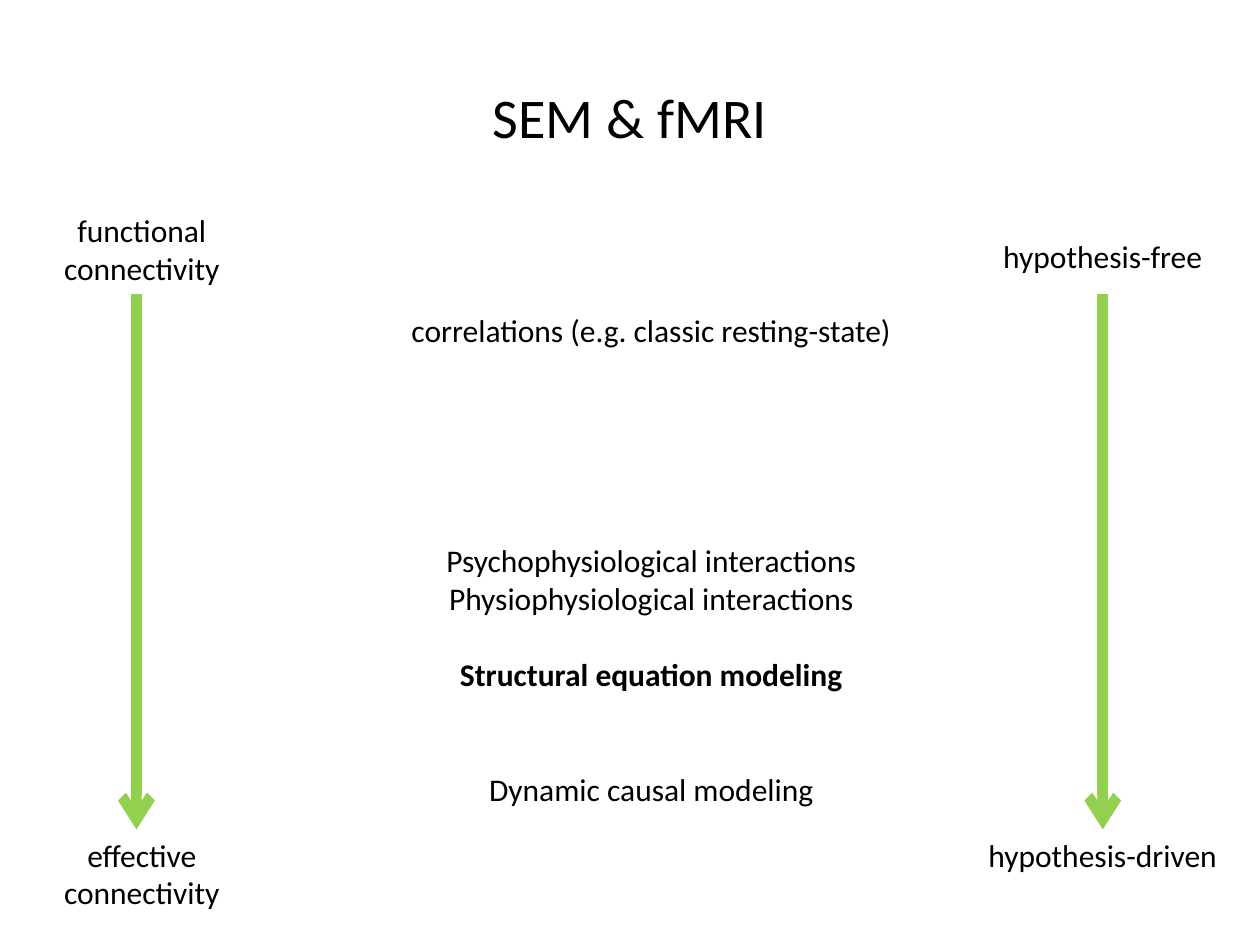
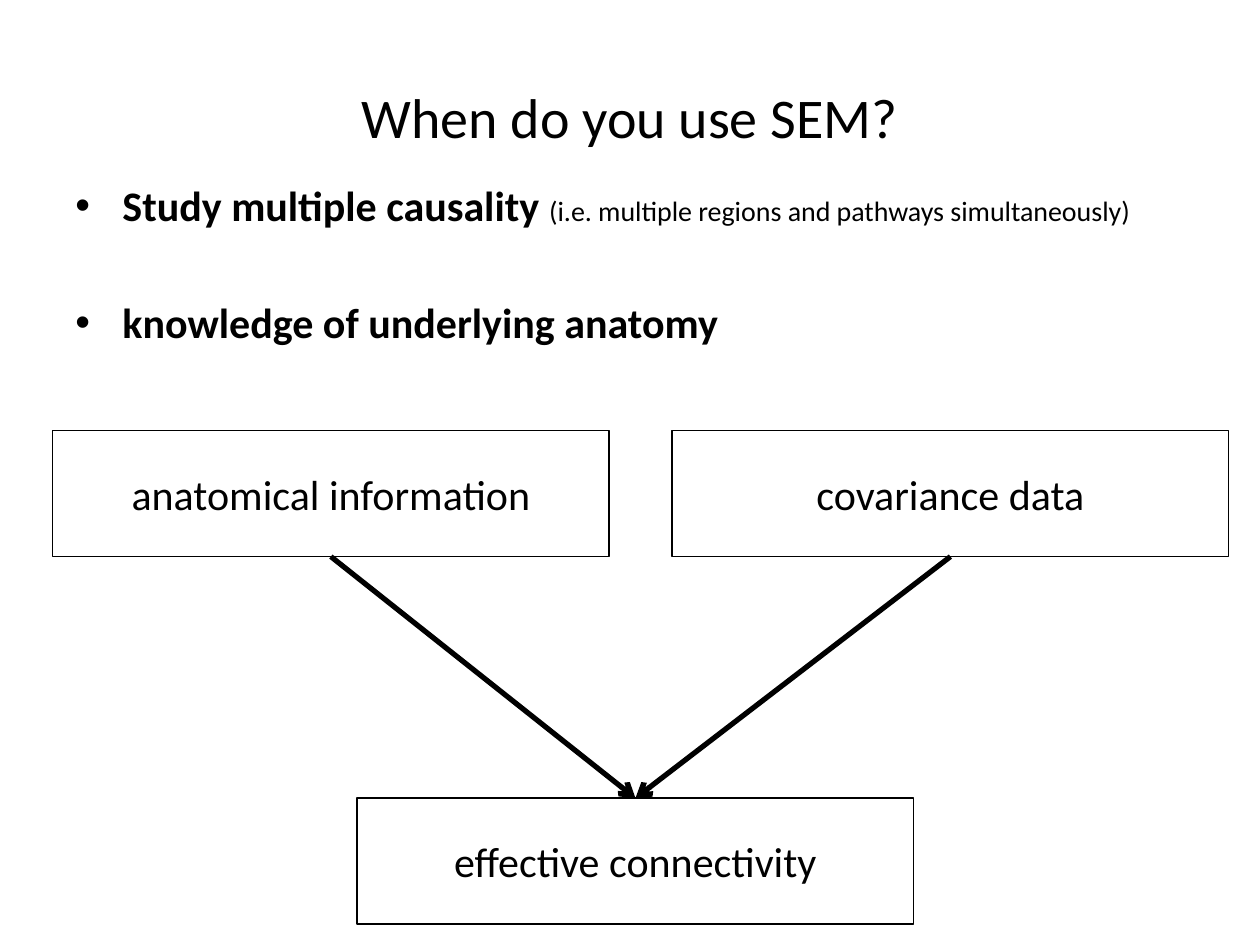
from lxml.etree import SubElement
from pptx import Presentation
from pptx.dml.color import RGBColor
from pptx.enum.shapes import MSO_CONNECTOR, MSO_SHAPE
from pptx.enum.text import MSO_ANCHOR, PP_ALIGN
from pptx.oxml.ns import qn
from pptx.util import Cm, Pt

BLACK = "000000"
GREEN = "92D050"
FONT = "Calibri"
BOTTOM, TOP = 2, 0  # connection sites of a rectangle


def color(hex_string):
    return RGBColor.from_string(hex_string)


class Pages:
    """Holds the deck, its style and the current page."""

    def __init__(self):
        self.deck = Presentation()
        self.deck.slide_width, self.deck.slide_height = Cm(25.4), Cm(19.05)
        self.page = None

    def new_page(self, title):
        self.page = self.deck.slides.add_slide(self.deck.slide_layouts[6])
        box = self.text_box(1.27, 0.76, 22.86, 3.18, MSO_ANCHOR.MIDDLE)
        self.paragraph(box, [(title, 32, False)])

    def text_box(self, left, top, width, height, anchor=MSO_ANCHOR.TOP):
        box = self.page.shapes.add_textbox(Cm(left), Cm(top), Cm(width), Cm(height))
        box.text_frame.word_wrap = True
        box.text_frame.vertical_anchor = anchor
        return box

    def paragraph(self, box, spans, before=0, bullet=False):
        """Add one paragraph; spans are (text, size, bold)."""
        frame = box.text_frame
        para = frame.paragraphs[0]
        if para.runs:
            para = frame.add_paragraph()
        para.alignment = PP_ALIGN.LEFT if bullet else PP_ALIGN.CENTER
        if before:
            para.space_before = Pt(before)
        if bullet:
            properties = para._p.get_or_add_pPr()
            properties.set("marL", str(Cm(0.95)))
            properties.set("indent", str(-Cm(0.95)))
            SubElement(properties, qn("a:buFont"), typeface="Arial")
            SubElement(properties, qn("a:buChar"), char="•")
        for text, size, bold in spans:
            span = para.add_run()
            span.text = text
            span.font.name = FONT
            span.font.size = Pt(size)
            span.font.bold = bold
            span.font.color.rgb = color(BLACK)

    def label(self, left, top, lines):
        box = self.text_box(left, top, 5.72, 0.2 + 0.8 * len(lines))
        for line in lines:
            self.paragraph(box, [(line, 18, False)])

    def frame(self, left, top, text):
        box = self.page.shapes.add_shape(
            MSO_SHAPE.RECTANGLE, Cm(left), Cm(top), Cm(11.22), Cm(2.54))
        box.shadow.inherit = False
        box.fill.background()
        box.line.color.rgb = color(BLACK)
        box.line.width = Pt(0.75)
        box.text_frame.word_wrap = True
        box.text_frame.vertical_anchor = MSO_ANCHOR.MIDDLE
        self.paragraph(box, [(text, 24, False)])
        return box

    def arrow(self, x1, y1, x2, y2, hex_string, width):
        line = self.page.shapes.add_connector(
            MSO_CONNECTOR.STRAIGHT, Cm(x1), Cm(y1), Cm(x2), Cm(y2))
        line.line.color.rgb = color(hex_string)
        line.line.width = Pt(width)
        SubElement(line.line._get_or_add_ln(), qn("a:tailEnd"), type="arrow")
        SubElement(line._element.spPr, qn("a:effectLst"))
        return line

    def link(self, source, target):
        line = self.arrow(0, 0, 1, 1, BLACK, 3)
        line.begin_connect(source, BOTTOM)
        line.end_connect(target, TOP)


def method_scale(pages):
    pages.new_page("SEM & fMRI")

    # Scales on both sides
    for x in (2.75, 22.23):
        pages.arrow(x, 5.93, x, 16.72, GREEN, 6)
    pages.label(0, 4.13, ["functional", "connectivity"])
    pages.label(0, 16.72, ["effective", "connectivity"])
    pages.label(19.37, 4.66, ["hypothesis-free"])
    pages.label(19.37, 16.72, ["hypothesis-driven"])

    # Methods, spaced by whole lines
    line_height = 22
    methods = [
        ("correlations (e.g. classic resting-state)", 0, False),
        ("Psychophysiological interactions", 5, False),
        ("Physiophysiological interactions", 0, False),
        ("Structural equation modeling", 1, True),
        ("Dynamic causal modeling", 2, False),
    ]
    box = pages.text_box(5.72, 6.14, 14.82, 10.26)
    for text, gap, bold in methods:
        pages.paragraph(box, [(text, 18, bold)], gap * line_height)


def when_to_use(pages):
    pages.new_page("When do you use SEM?")

    # Reasons
    box = pages.text_box(1.27, 3.5, 22.86, 12.57)
    pages.paragraph(box, [
        ("Study multiple causality ", 24, True),
        ("(i.e. multiple regions and pathways simultaneously)", 16, False),
    ], bullet=True)
    pages.paragraph(box, [("knowledge of underlying anatomy", 24, True)], 38, bullet=True)

    # Two inputs lead to one result
    inputs = [
        pages.frame(1.06, 8.68, "anatomical information"),
        pages.frame(13.55, 8.68, "covariance data"),
    ]
    result = pages.frame(7.2, 16.09, "effective connectivity")
    for source in inputs:
        pages.link(source, result)


def main():
    pages = Pages()
    method_scale(pages)
    when_to_use(pages)
    pages.deck.save("out.pptx")


if __name__ == "__main__":
    main()
